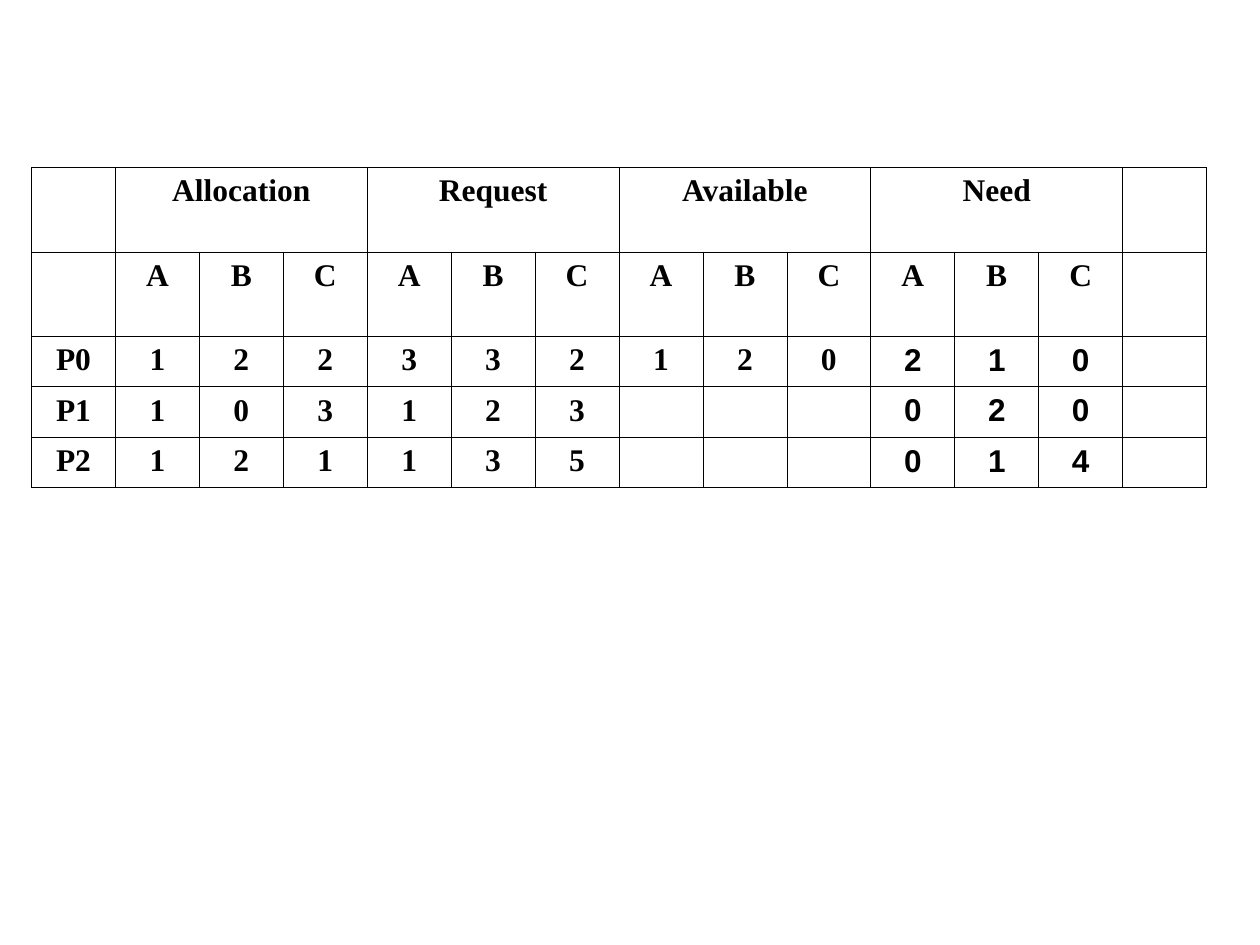
"""Build a slide with a resource allocation table for three processes."""
from lxml import etree
from pptx import Presentation
from pptx.dml.color import RGBColor
from pptx.enum.text import PP_ALIGN
from pptx.oxml.ns import qn
from pptx.util import Inches, Pt

CENTER = PP_ALIGN.CENTER
BLACK = "000000"
SERIF, SANS = "Times New Roman", "Arial"

GROUPS = ["Allocation", "Request", "Available", "Need"]
KINDS = "ABC"
ROWS = [
    ("P0", "122", "332", "120", "210"),
    ("P1", "103", "123", "   ", "020"),
    ("P2", "121", "135", "   ", "014"),
]

WIDE, HIGH = 10, 7.5
LEFT, TOP, SPAN = 0.25, 1.33, 9.33
HEAD, BODY = 0.67, 0.4
LINE = 0.45


def color(code):
    return RGBColor.from_string(code)


def border(cell):
    props = cell._tc.get_or_add_tcPr()
    for side in ("lnL", "lnR", "lnT", "lnB"):
        line = etree.SubElement(props, qn(f"a:{side}"), w=str(Pt(LINE)))
        fill = etree.SubElement(line, qn("a:solidFill"))
        etree.SubElement(fill, qn("a:srgbClr"), val=BLACK)


def style(cell, text, face):
    border(cell)
    cell.fill.background()
    para = cell.text_frame.paragraphs[0]
    para.alignment = CENTER
    font = para.font
    font.size, font.bold, font.name = Pt(18), True, face
    font.color.rgb = color(BLACK)
    if text:
        para.add_run().text = text


def main():
    deck = Presentation()
    deck.slide_width, deck.slide_height = Inches(WIDE), Inches(HIGH)
    slide = deck.slides.add_slide(deck.slide_layouts[6])

    step = len(KINDS)
    names = [""] + [part for name in GROUPS for part in (name, "", "")] + [""]
    kinds = ["", *KINDS * len(GROUPS), ""]
    grid = [names, kinds]
    for label, *sets in ROWS:
        grid.append([label, *"".join(sets).replace(" ", "-"), ""])
    highs = [HEAD] * 2 + [BODY] * len(ROWS)
    cols = len(kinds)
    need = cols - 1 - step

    frame = slide.shapes.add_table(
        len(grid), cols, Inches(LEFT), Inches(TOP), Inches(SPAN), Inches(sum(highs)))
    table = frame.table
    table.first_row = table.horz_banding = False
    for col in table.columns:
        col.width = Inches(SPAN / cols)
    for r, (high, row) in enumerate(zip(highs, grid)):
        table.rows[r].height = Inches(high)
        for c, text in enumerate(row):
            face = SANS if r > 1 and c >= need else SERIF
            style(table.cell(r, c), text.strip("-"), face)
    for c in range(1, cols - 1, step):
        table.cell(0, c).merge(table.cell(0, c + step - 1))

    deck.save("out.pptx")


if __name__ == "__main__":
    main()
